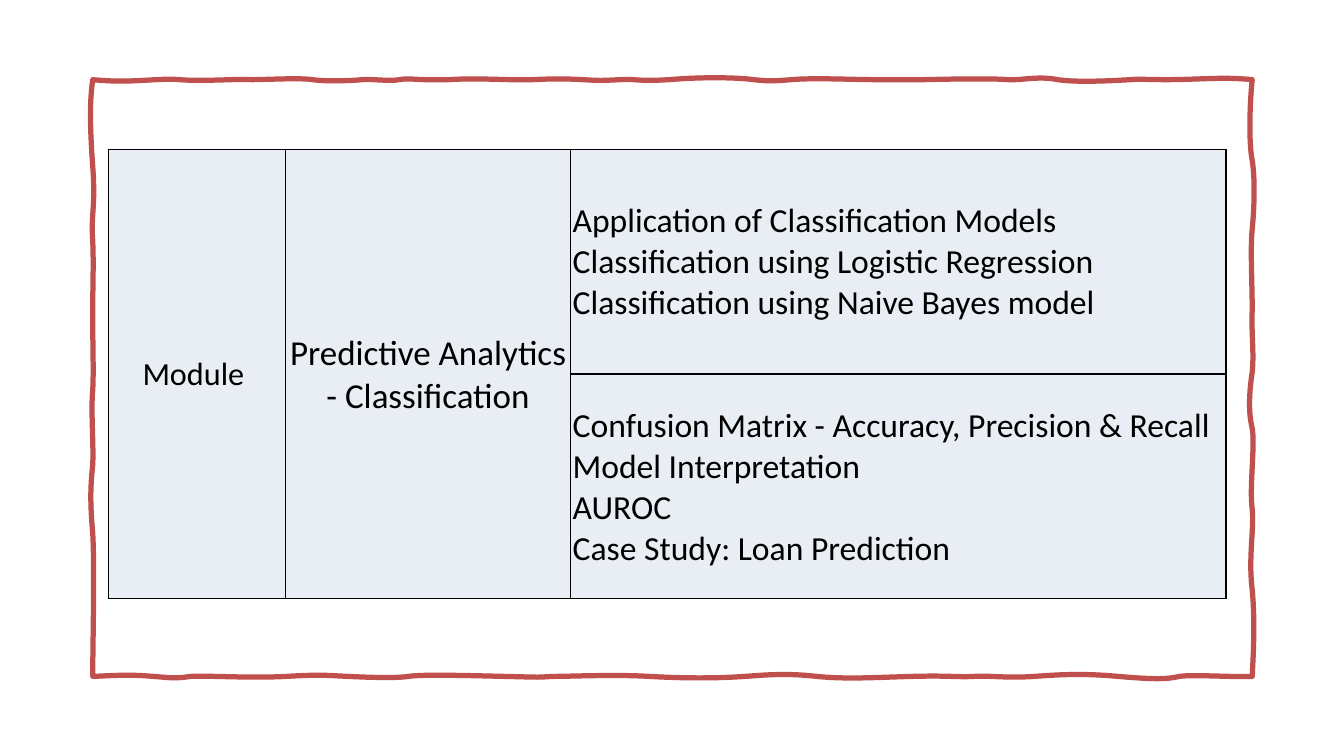
from pptx import Presentation, util as u
from pptx.dml.color import RGBColor
from pptx.enum import text
from pptx.oxml import parse_xml
from pptx.oxml.ns import nsdecls, qn

COLORS = {"frame": "C0504D", "cell": "E9EDF4", "ink": "000000"}
LEFT, TOP, RIGHT, BOTTOM = 0.92, 0.79, 12.42, 6.71
CELL_FORMAT = {
    "margin_left": u.Inches(0.02),
    "margin_right": u.Inches(0.02),
    "margin_top": u.Inches(0.02),
    "margin_bottom": 0,
    "vertical_anchor": text.MSO_ANCHOR.MIDDLE,
}
BOTTOM_WAVES = [
    (1.17, -0.01, 1.28, -0.02, 1.52), (1.76, 0.02, 1.75, 0.02, 1.89),
    (2.04, -0.01, 2.49, 0.02, 2.84), (3.19, -0.02, 3.23, -0.01, 3.45),
    (3.67, 0.01, 3.92, 0.02, 4.05), (4.18, -0.02, 4.58, -0.01, 5),
    (5.42, 0.01, 5.3, 0.01, 5.49), (5.67, 0, 6.09, -0.02, 6.44),
    (6.78, 0.02, 7.11, 0.02, 7.39), (7.66, -0.02, 7.82, -0.03, 8.1),
    (8.39, 0.03, 8.69, 0.01, 9.05), (9.42, -0.01, 9.5, 0.01, 9.66),
    (9.82, -0.01, 9.98, 0.02, 10.26), (10.54, -0.02, 10.75, -0.03, 11.09),
    (11.44, 0.03, 11.57, 0.03, 11.7), (11.83, -0.02, 12.26, 0.01, RIGHT),
]
RIGHT_WAVES = [
    (6.5, 0.01, 6.18, 0.03, 5.85), (5.53, -0.04, 5.26, 0.02, 5.05),
    (4.84, -0.03, 4.42, 0.03, 4.25), (4.09, -0.04, 3.89, -0.03, 3.69),
    (3.49, 0.02, 3.32, -0.01, 3.07), (2.82, 0, 2.47, -0.02, 2.27),
    (2.07, 0.02, 1.78, 0.03, 1.59), (1.39, -0.04, 0.97, -0.02, TOP),
]
TOP_WAVES = [
    (12.12, -0.03, 11.89, 0, 11.58), (11.28, 0, 11.36, -0.01, 11.21),
    (11.05, 0.01, 10.68, 0.03, 10.49), (10.3, -0.04, 10.12, 0.01, 10),
    (9.89, -0.01, 9.57, -0.01, 9.17), (8.77, 0, 8.9, 0, 8.68),
    (8.45, 0, 8.07, -0.02, 7.85), (7.62, 0.02, 7.59, 0.01, 7.47),
    (7.35, -0.02, 6.98, -0.03, 6.64), (6.29, 0.02, 6.34, -0.01, 6.15),
    (5.95, 0.01, 5.95, 0.01, 5.78), (5.6, -0.01, 5.48, -0.01, 5.29),
    (5.09, 0.01, 4.76, -0.02, 4.45), (4.14, 0.01, 4.07, -0.02, 3.96),
    (3.86, 0.02, 3.68, -0.01, 3.59), (3.51, 0.01, 3.22, 0.02, 3.1),
    (2.98, -0.02, 2.64, 0, 2.5), (2.36, -0.01, 2, 0.02, 1.78),
    (1.56, -0.02, 1.31, 0.04, LEFT),
]
LEFT_WAVES = [
    (1, -0.03, 1.23, -0.03, 1.65), (2.06, 0.03, 2.12, -0.02, 2.39),
    (2.65, 0.01, 2.76, 0, 3.13), (3.49, 0, 3.67, 0.01, 3.87),
    (4.07, -0.02, 4.41, 0.01, 4.61), (4.8, -0.02, 4.96, -0.03, 5.29),
    (5.62, 0.02, 6.41, 0, BOTTOM),
]


def wavy_side(base, waves, horizontal):
    """Return two control points and an end point for each wave of a side."""
    curves = []
    for pos1, shift1, pos2, shift2, end in waves:
        points = [(pos1, base + shift1), (pos2, base + shift2), (end, base)]
        curves.append([(u.Inches(a), u.Inches(b)) if horizontal
                       else (u.Inches(b), u.Inches(a)) for a, b in points])
    return curves


def bend_lines(frame, curves):
    """Turn the straight segments of the frame into curves."""
    segments = list(frame._element.iter(qn("a:lnTo")))
    for segment, curve in zip(segments, curves):
        points = "".join(f'<a:pt x="{x - frame.left}" y="{y - frame.top}"/>'
                         for x, y in curve)
        bend = parse_xml(f'<a:cubicBezTo {nsdecls("a")}>{points}</a:cubicBezTo>')
        segment.getparent().replace(segment, bend)


def add_frame(slide):
    """Draw the wavy red frame."""
    curves = (wavy_side(BOTTOM, BOTTOM_WAVES, True)
              + wavy_side(RIGHT, RIGHT_WAVES, False)
              + wavy_side(TOP, TOP_WAVES, True)
              + wavy_side(LEFT, LEFT_WAVES, False))
    builder = slide.shapes.build_freeform(u.Inches(LEFT), u.Inches(BOTTOM))
    builder.add_line_segments([curve[-1] for curve in curves], close=True)
    frame = builder.convert_to_shape()
    bend_lines(frame, curves)
    frame.shadow.inherit = False
    frame.fill.background()
    frame.line.color.rgb = RGBColor.from_string(COLORS["frame"])
    frame.line.width = u.Pt(3.75)


def style_cell(cell):
    """Give a cell its margins, borders and fill."""
    for key, value in CELL_FORMAT.items():
        setattr(cell, key, value)
    properties = cell._tc.get_or_add_tcPr()
    for edge in ("lnL", "lnR", "lnT", "lnB"):
        properties.append(parse_xml(
            f'<a:{edge} {nsdecls("a")} w="{u.Pt(1)}"><a:solidFill>'
            f'<a:srgbClr val="{COLORS["ink"]}"/></a:solidFill></a:{edge}>'))
    cell.fill.solid()
    cell.fill.fore_color.rgb = RGBColor.from_string(COLORS["cell"])


def write_cell(cell, wording, size, align):
    """Write text into a cell."""
    paragraph = cell.text_frame.paragraphs[0]
    paragraph.text = wording
    paragraph.alignment = align
    font_format = {"name": "Calibri", "size": u.Pt(size), "bold": False}
    for run in paragraph.runs:
        for key, value in font_format.items():
            setattr(run.font, key, value)
        run.font.color.rgb = RGBColor.from_string(COLORS["ink"])


def add_module_table(slide):
    """Add the table of module topics."""
    module = slide.shapes.add_table(2, 3, u.Inches(1.08), u.Inches(1.48),
                                    u.Inches(11.08), u.Inches(4.46)).table
    for flag in ("first_row", "horz_banding"):
        setattr(module, flag, False)
    for column, width in zip(module.columns, (1.75, 2.83, 6.5)):
        column.width = u.Inches(width)
    for cell in module.iter_cells():
        style_cell(cell)
    for column in range(2):
        module.cell(0, column).merge(module.cell(1, column))
    center, left = text.PP_ALIGN.CENTER, text.PP_ALIGN.LEFT
    write_cell(module.cell(0, 0), "Module ", 23, center)
    write_cell(module.cell(0, 1), "Predictive Analytics - Classification", 25, center)
    topics = (
        "Application of Classification Models\n"
        "Classification using Logistic Regression\n"
        "Classification using Naive Bayes model",
        "Confusion Matrix - Accuracy, Precision & Recall\n"
        "Model Interpretation\nAUROC\nCase Study: Loan Prediction",
    )
    for row, topic in enumerate(topics):
        write_cell(module.cell(row, 2), topic, 24, left)


def main():
    """Build and save the slide."""
    deck = Presentation()
    deck.slide_width, deck.slide_height = u.Inches(13.33), u.Inches(7.5)
    slide = deck.slides.add_slide(deck.slide_layouts[6])
    add_frame(slide)
    add_module_table(slide)
    deck.save("out.pptx")


if __name__ == "__main__":
    main()
